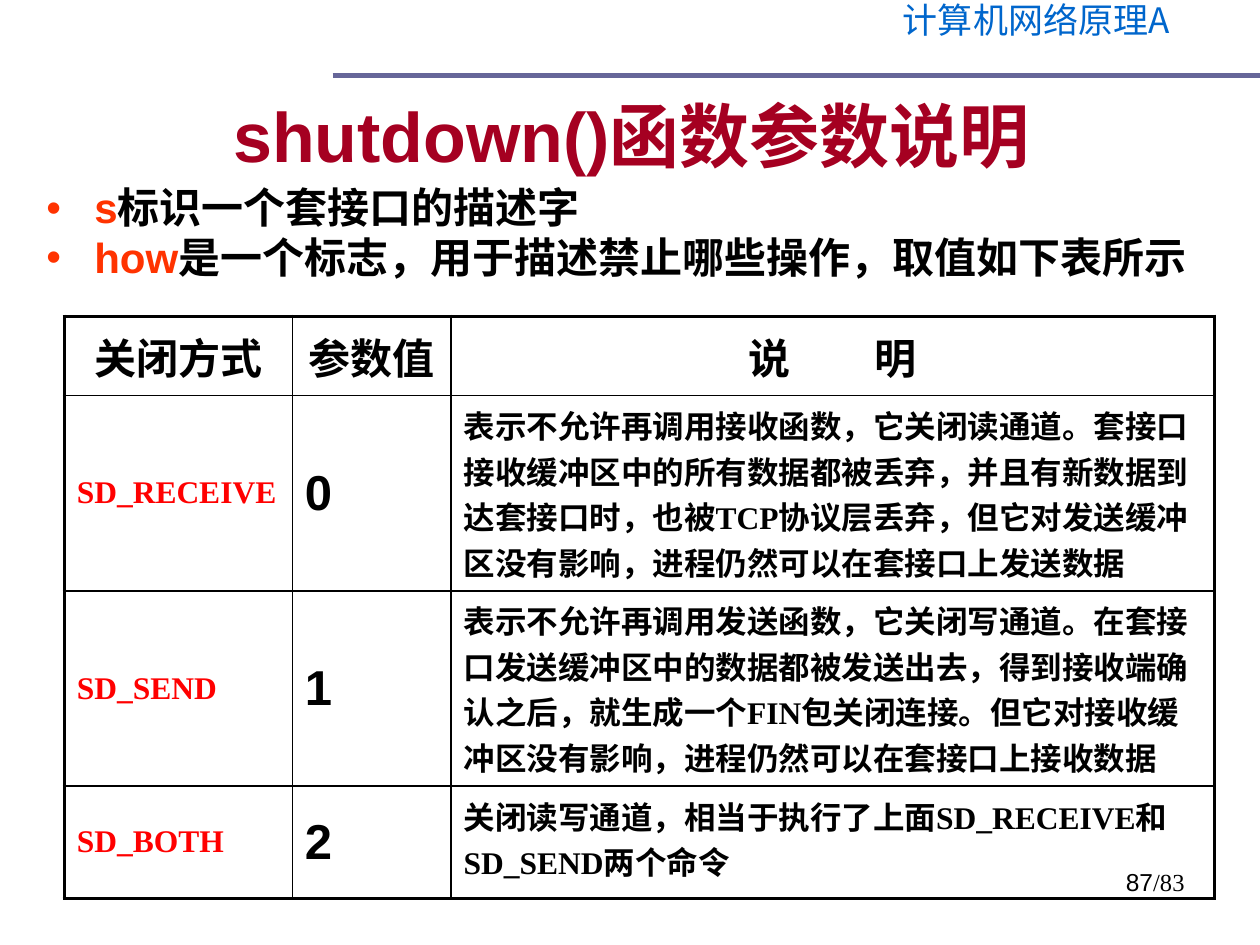
from lxml import etree
from pptx import Presentation
from pptx import util as u
from pptx.dml.color import RGBColor
from pptx.enum import shapes, text
from pptx.oxml.ns import qn

BLACK = RGBColor(0x00, 0x00, 0x00)
RED = RGBColor(0xFF, 0x00, 0x00)
ORANGE = RGBColor(0xFF, 0x33, 0x00)
CRIMSON = RGBColor(0xA5, 0x00, 0x21)
BLUE = RGBColor(0x00, 0x66, 0xCC)
SLATE = RGBColor(0x66, 0x66, 0x99)
SANS, SERIF, CJK = "Arial", "Times New Roman", "Noto Sans CJK SC"

COURSE = "计算机网络原理A"
TITLE = "shutdown()函数参数说明"
PARAMETERS = [
    ("s", "标识一个套接口的描述字"),
    ("how", "是一个标志，用于描述禁止哪些操作，取值如下表所示"),
]
HEADINGS = ("关闭方式", "参数值", "说　　明")
MODES = [
    ("SD_RECEIVE", "0", "表示不允许再调用接收函数，它关闭读通道。套接口接收缓冲区中的所有数据都被丢弃，"
     "并且有新数据到达套接口时，也被TCP协议层丢弃，但它对发送缓冲区没有影响，"
     "进程仍然可以在套接口上发送数据"),
    ("SD_SEND", "1", "表示不允许再调用发送函数，它关闭写通道。在套接口发送缓冲区中的数据都被发送出去，"
     "得到接收端确认之后，就生成一个FIN包关闭连接。但它对接收缓冲区没有影响，"
     "进程仍然可以在套接口上接收数据"),
    ("SD_BOTH", "2", "关闭读写通道，相当于执行了上面SD_RECEIVE和SD_SEND两个命令"),
]
PAGE, PAGE_TOTAL = "87", "/83"

COLUMN_WIDTHS = (1.81, 1.26, 6.06)
ROW_HEIGHTS = (0.63, 1.55, 1.55, 0.89)
COLUMN_STYLES = ((18, SERIF, RED), (28, SANS, BLACK), (18, SERIF, BLACK))
OUTER, INNER = 2.25, 1


def box(left, top, width, height):
    return [u.Inches(value) for value in (left, top, width, height)]


def add_run(paragraph, words, size, face, color, bold=False):
    run = paragraph.add_run()
    run.text = words
    font = run.font
    font.size, font.name, font.bold = u.Pt(size), face, bold
    font.color.rgb = color
    etree.SubElement(run._r.get_or_add_rPr(), qn("a:ea"), typeface=CJK)


def add_bullet(paragraph, indent):
    properties = paragraph._p.get_or_add_pPr()
    properties.set("marL", str(u.Inches(indent)))
    properties.set("indent", str(-u.Inches(indent)))
    etree.SubElement(properties, qn("a:buFont"), typeface=SANS)
    etree.SubElement(properties, qn("a:buChar"), char="•")


def set_borders(cell, row, column):
    """Draw a heavy frame round the table and thin lines inside it."""
    edges = {
        "L": column == 0,
        "R": column == len(COLUMN_WIDTHS) - 1,
        "T": row == 0,
        "B": row == len(ROW_HEIGHTS) - 1,
    }
    properties = cell._tc.get_or_add_tcPr()
    for side, is_outer in edges.items():
        width = u.Pt(OUTER if is_outer else INNER)
        line = etree.SubElement(properties, qn(f"a:ln{side}"), w=str(width))
        fill = etree.SubElement(line, qn("a:solidFill"))
        etree.SubElement(fill, qn("a:srgbClr"), val=str(BLACK))


def add_header(slide):
    frame = slide.shapes.add_textbox(*box(6.73, 0, 2.99, 0.44)).text_frame
    frame.word_wrap = False
    paragraph = frame.paragraphs[0]
    paragraph.alignment, paragraph.line_spacing = text.PP_ALIGN.CENTER, 0.8
    add_run(paragraph, COURSE, 20, CJK, BLUE)

    rule = slide.shapes.add_connector(
        shapes.MSO_CONNECTOR.STRAIGHT,
        u.Inches(2.64), u.Inches(0.6), u.Inches(10), u.Inches(0.6))
    rule.line.color.rgb, rule.line.width = SLATE, u.Pt(3)
    etree.SubElement(rule._element.spPr, qn("a:effectLst"))


def add_title(slide):
    title = slide.shapes.title
    title.left, title.top, title.width, title.height = box(0.51, 0.44, 9, 1.25)
    title.text_frame.vertical_anchor = text.MSO_ANCHOR.MIDDLE
    paragraph = title.text_frame.paragraphs[0]
    paragraph.alignment = text.PP_ALIGN.CENTER
    add_run(paragraph, TITLE, 40, SANS, CRIMSON, bold=True)


def add_parameters(slide):
    frame = slide.shapes.add_textbox(*box(0.27, 1.44, 9.45, 1.05)).text_frame
    frame.word_wrap = True
    for index, (name, meaning) in enumerate(PARAMETERS):
        paragraph = frame.add_paragraph() if index else frame.paragraphs[0]
        paragraph.line_spacing, paragraph.space_before = 0.9, u.Pt(2.4)
        add_bullet(paragraph, 0.38)
        add_run(paragraph, name, 24, SANS, ORANGE, bold=True)
        add_run(paragraph, meaning, 24, SANS, BLACK, bold=True)


def add_modes(slide):
    table = slide.shapes.add_table(
        len(ROW_HEIGHTS), len(COLUMN_WIDTHS),
        *box(0.51, 2.51, sum(COLUMN_WIDTHS), sum(ROW_HEIGHTS))).table
    table.first_row = table.horz_banding = False
    for column, width in zip(table.columns, COLUMN_WIDTHS):
        column.width = u.Inches(width)
    for row, height in zip(table.rows, ROW_HEIGHTS):
        row.height = u.Inches(height)

    for r, entries in enumerate([HEADINGS, *MODES]):
        for c, words in enumerate(entries):
            cell = table.cell(r, c)
            set_borders(cell, r, c)
            cell.fill.background()
            is_description = r > 0 and c == len(entries) - 1
            cell.vertical_anchor = (
                text.MSO_ANCHOR.TOP if is_description else text.MSO_ANCHOR.MIDDLE)
            paragraph = cell.text_frame.paragraphs[0]
            paragraph.alignment = text.PP_ALIGN.LEFT if r else text.PP_ALIGN.CENTER
            style = COLUMN_STYLES[c] if r else (24, SERIF, BLACK)
            add_run(paragraph, words, *style, bold=True)


def add_page_number(slide):
    frame = slide.shapes.add_textbox(*box(7.17, 6.83, 2.33, 0.52)).text_frame
    frame.word_wrap = True
    paragraph = frame.paragraphs[0]
    paragraph.alignment = text.PP_ALIGN.RIGHT
    add_run(paragraph, PAGE, 14, SANS, BLACK)
    add_run(paragraph, PAGE_TOTAL, 14, SERIF, BLACK)


def main():
    deck = Presentation()
    deck.slide_width, deck.slide_height = u.Inches(10), u.Inches(7.5)
    slide = deck.slides.add_slide(deck.slide_layouts.get_by_name("Title Only"))
    add_header(slide)
    add_title(slide)
    add_parameters(slide)
    add_modes(slide)
    add_page_number(slide)
    deck.save("out.pptx")


if __name__ == "__main__":
    main()
